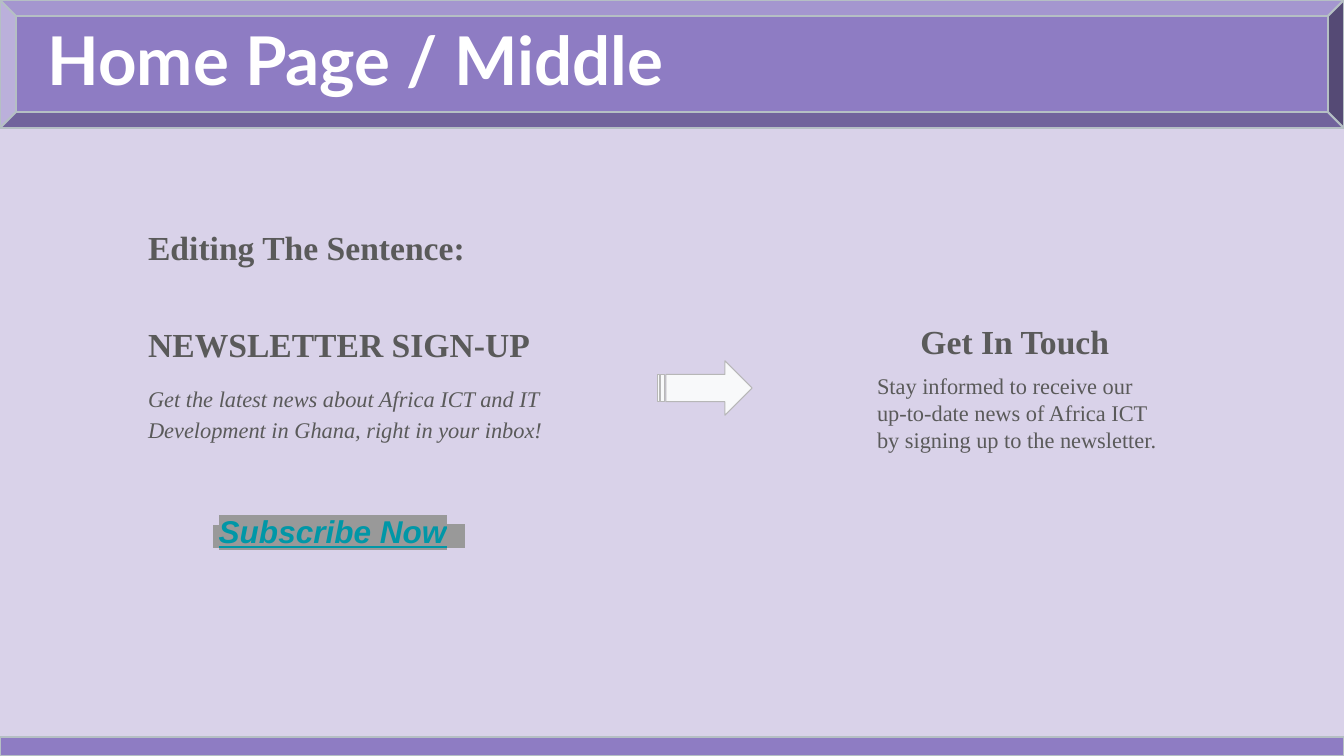
from lxml.etree import SubElement
from pptx import Presentation
from pptx.dml.color import RGBColor
from pptx.enum.shapes import MSO_SHAPE as SHAPE
from pptx.enum.text import MSO_ANCHOR as ANCHOR, MSO_AUTO_SIZE as FIT, PP_ALIGN as ALIGN
from pptx.oxml.ns import qn
from pptx.util import Inches, Pt

WIDTH, HEIGHT = Inches(13.33), Inches(7.5)
SERIF, GREY, PURPLE = "Times New Roman", "5A5A5A", "8E7CC3"
HEADING = dict(size=24, bold=True)


def color(value):
    """Turn a hex string into a colour."""
    return RGBColor.from_string(value)


def grid(left, top, width, height):
    """Turn hundredths of the slide's width and height into lengths."""
    return [int(share * side / 100) for share, side in
            zip((left, top, width, height), (WIDTH, HEIGHT) * 2)]


def style(span, size, font=SERIF, ink=GREY, bold=False, italic=False,
          underline=False, highlight=None):
    """Format one run of text."""
    span.font.name, span.font.size = font, Pt(size)
    span.font.bold, span.font.italic, span.font.underline = bold, italic, underline
    span.font.color.rgb = color(ink)
    if highlight:
        mark = SubElement(span.font._element, qn("a:highlight"))
        SubElement(mark, qn("a:srgbClr")).set("val", highlight)
        span.font._element.find(qn("a:solidFill")).addnext(mark)


def arrange(para, align=ALIGN.LEFT, line=None, before=0, left=0, right=0):
    """Set the alignment, spacing and margins of a paragraph."""
    para.alignment, para.line_spacing, para.space_before = align, line, Pt(before)
    para._p.get_or_add_pPr().set("marL", str(Inches(left)))
    para._p.get_or_add_pPr().set("marR", str(Inches(right)))


def frame_up(box, anchor, inset=0.1):
    """Set the wrapping, anchor and insets of a text box."""
    frame = box.text_frame
    frame.word_wrap, frame.auto_size, frame.vertical_anchor = True, FIT.NONE, anchor
    frame.margin_left = frame.margin_right = Inches(0.1)
    frame.margin_top = frame.margin_bottom = Inches(inset)
    return frame


def add_text(page, area, text, look, anchor=ANCHOR.TOP, inset=0.1, **layout):
    """Add a text box and format its single-style paragraph."""
    frame = frame_up(page.shapes.add_textbox(*grid(*area)), anchor, inset)
    frame.text = text
    arrange(frame.paragraphs[0], **layout)
    style(frame.paragraphs[0].runs[0], **look)
    return frame


def add_block(page, kind, area, fill, line, weight):
    """Add a filled and outlined preset shape."""
    block = page.shapes.add_shape(kind, *grid(*area))
    block.shadow.inherit = False
    block.fill.solid()
    block.fill.fore_color.rgb = color(fill)
    block.line.color.rgb = color(line)
    block.line.width = Pt(weight)


def add_title(page, area, text):
    """Place the title in front of the header bar."""
    title = page.shapes.title
    title.left, title.top, title.width, title.height = grid(*area)
    frame = frame_up(title, ANCHOR.MIDDLE)
    frame.text = text
    arrange(frame.paragraphs[0])
    style(frame.paragraphs[0].runs[0], 48, "Lato", "FFFFFF", bold=True)
    page.shapes._spTree.append(title._element)


def add_newsletter(page):
    """Add the sign-up text with its highlighted link."""
    frame = add_text(page, (6.53, 38, 37.36, 38.8), "NEWSLETTER SIGN-UP", HEADING,
                     ANCHOR.MIDDLE, line=1.15, left=0.5)
    intro = frame.add_paragraph()
    intro.text = ("Get the latest news about Africa ICT and IT "
                  "Development in Ghana, right in your inbox!")
    arrange(intro, line=1.15, before=12, left=0.5)
    style(intro.runs[0], 16, italic=True)
    link = frame.add_paragraph()
    arrange(link, ALIGN.CENTER, 1.15, 45, 0.76, 0.76)
    for text, look in (
        (" ", dict(size=14.5, font="Arial", ink="1B3039", italic=True)),
        ("Subscribe Now", dict(size=22.5, font="Arial", ink="0097A7", bold=True,
                               italic=True, underline=True)),
        ("    ", dict(size=14, font="Cabin", ink="000000")),
    ):
        span = link.add_run()
        span.text = text
        style(span, highlight="999999", **look)


def main():
    """Build the slide and save it."""
    deck = Presentation()
    deck.slide_width, deck.slide_height = WIDTH, HEIGHT
    page = deck.slides.add_slide(deck.slide_layouts[5])
    page.background.fill.solid()
    page.background.fill.fore_color.rgb = color("D9D2E9")
    add_newsletter(page)
    add_text(page, (64.52, 47.87, 22.73, 13.47),
             "Stay informed to receive our up-to-date news of Africa ICT "
             "by signing up to the newsletter.", dict(size=16))
    add_text(page, (64.52, 41.07, 21.98, 8.13), "Get In Touch", HEADING,
             align=ALIGN.CENTER)
    add_block(page, SHAPE.BEVEL, (0, 0, 100, 16.93), PURPLE, "B5BFC4", 1.5)
    add_block(page, SHAPE.RECTANGLE, (0, 97.47, 100, 2.53), PURPLE, "B5BFC4", 1.5)
    add_title(page, (2.78, 0.67, 59.49, 14.27), "Home Page / Middle")
    add_text(page, (10.28, 28.93, 42.54, 6.67), "Editing The Sentence:", HEADING,
             ANCHOR.MIDDLE, 0.05, line=1.15)
    add_block(page, SHAPE.STRIPED_RIGHT_ARROW, (48.91, 47.73, 7.05, 7.2),
              "F8F9FA", "B7B7B7", 0.75)
    deck.save("out.pptx")


if __name__ == "__main__":
    main()
